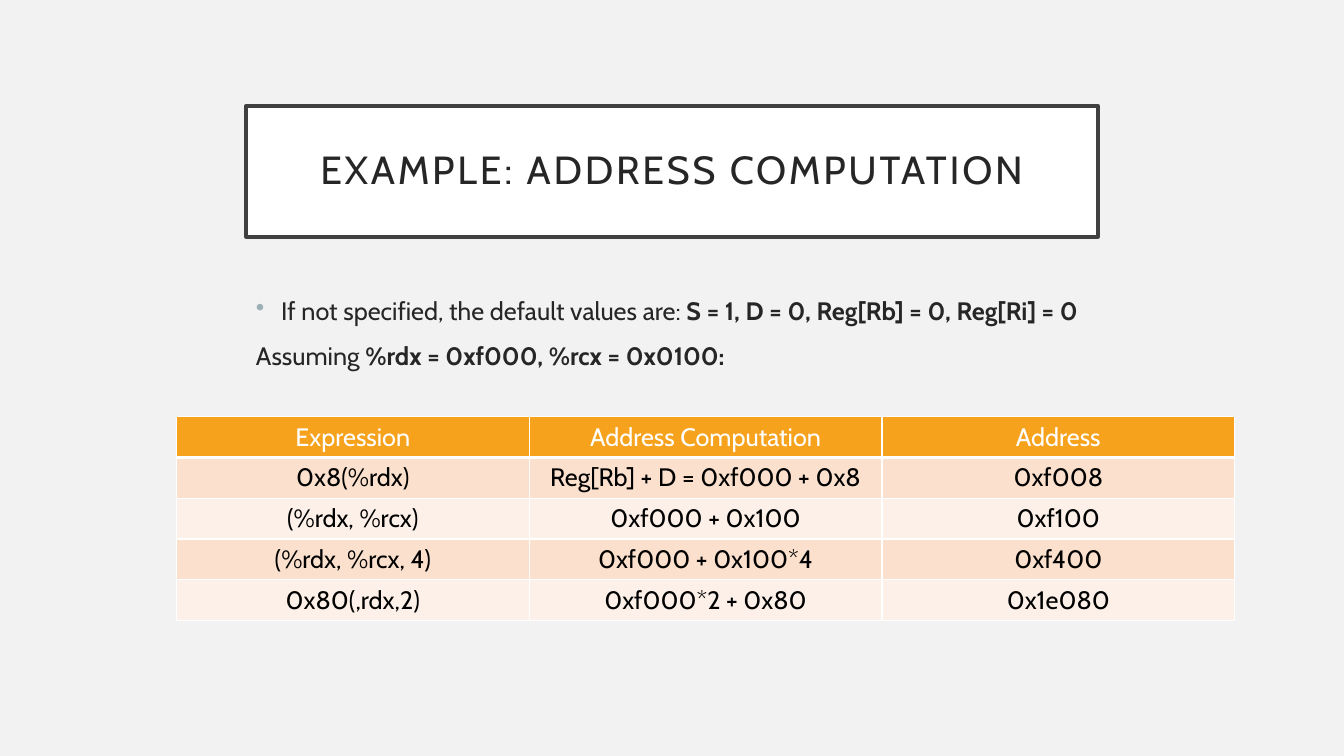
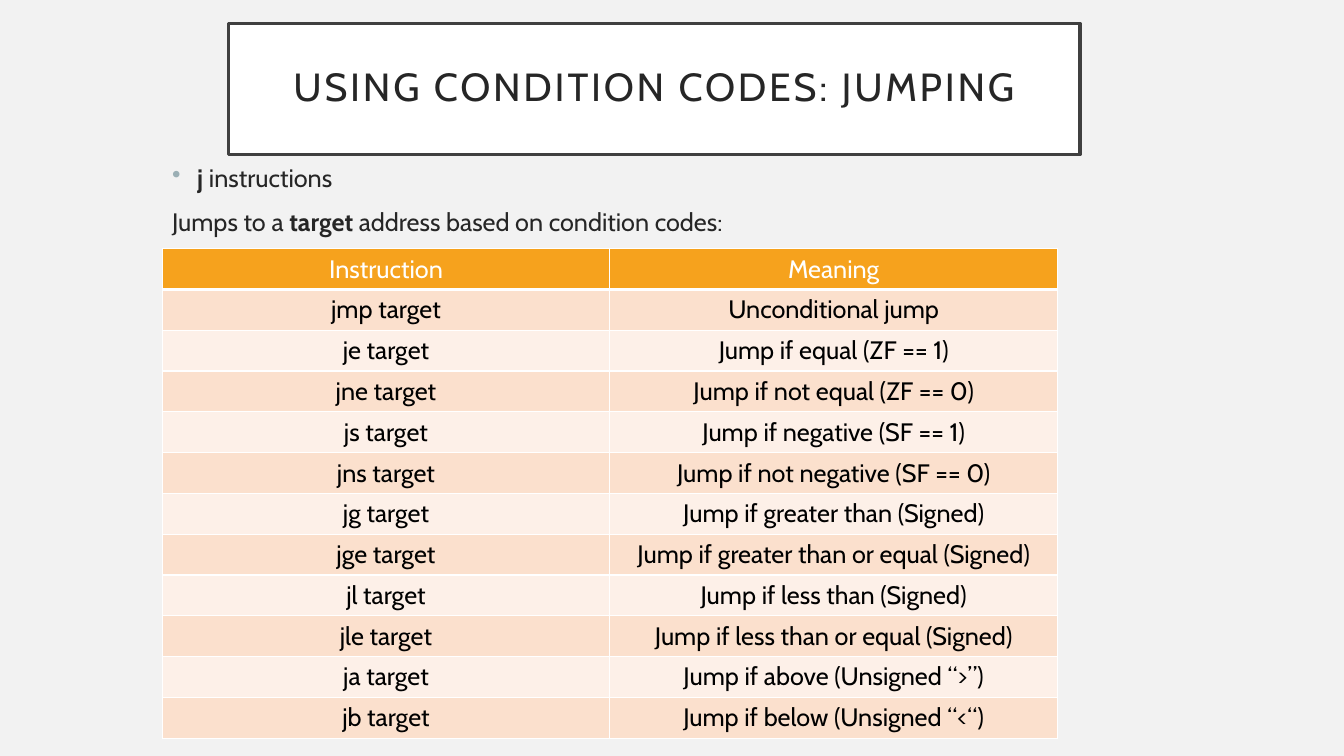
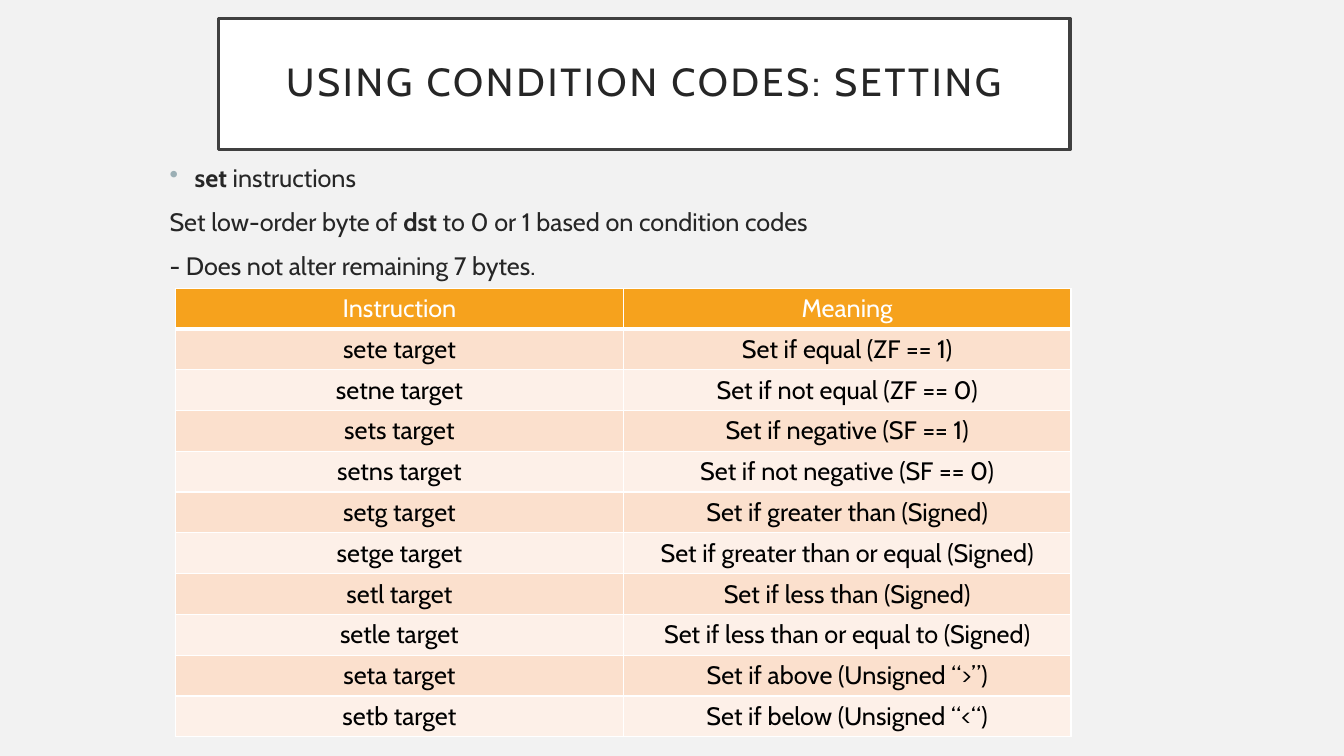
from lxml import etree
from pptx import Presentation
from pptx.dml.color import RGBColor
from pptx.enum.shapes import MSO_SHAPE
from pptx.enum.text import MSO_ANCHOR, PP_ALIGN
from pptx.oxml.ns import qn
from pptx.util import Inches, Pt

RECTANGLE = MSO_SHAPE.RECTANGLE
MIDDLE = MSO_ANCHOR.MIDDLE
CENTER = PP_ALIGN.CENTER

WHITE = RGBColor(0xFF, 0xFF, 0xFF)
BLACK = RGBColor(0x00, 0x00, 0x00)
PAPER = RGBColor(0xF2, 0xF2, 0xF2)
INK = RGBColor(0x26, 0x26, 0x26)
FRAME = RGBColor(0x40, 0x40, 0x40)
BULLET = RGBColor(0x9B, 0xAF, 0xB5)
ORANGE = RGBColor(0xF6, 0xA2, 0x1D)
BANDS = (RGBColor(0xFB, 0xE0, 0xCD), RGBColor(0xFD, 0xF0, 0xE8))

SLIDE_W, SLIDE_H = Inches(13.33), Inches(7.5)
COL, ROW = SLIDE_W / 80, SLIDE_H / 45  # grid of 80 columns by 45 rows
TITLE_SIZE = (50.7, 7.8)
TABLE_ROW = 2.43

TITLE_FONT = {"name": "Cabin", "size": Pt(28), "color": INK}
BODY_FONT = {"name": "Cabin", "size": Pt(18), "color": INK}
HEAD_FONT = {**BODY_FONT, "color": WHITE}
CELL_FONT = {**BODY_FONT, "color": BLACK}

ADDRESS_ROWS = [
    ("Expression", "Address Computation", "Address"),
    ("0x8(%rdx)", "Reg[Rb] + D = 0xf000 + 0x8", "0xf008"),
    ("(%rdx, %rcx)", "0xf000 + 0x100", "0xf100"),
    ("(%rdx, %rcx, 4)", "0xf000 + 0x100*4", "0xf400"),
    ("0x80(,rdx,2)", "0xf000*2 + 0x80", "0x1e080"),
]
INSTRUCTION_HEAD = ("Instruction", "Meaning")
CONDITIONS = {
    "e": "equal (ZF == 1)",
    "ne": "not equal (ZF == 0)",
    "s": "negative (SF == 1)",
    "ns": "not negative (SF == 0)",
    "g": "greater than (Signed)",
    "ge": "greater than or equal (Signed)",
    "l": "less than (Signed)",
    "le": "less than or equal (Signed)",
    "a": "above (Unsigned “>”)",
    "b": "below (Unsigned “<“)",
}
SET_CONDITIONS = {**CONDITIONS, "le": "less than or equal to (Signed)"}


def grid(x, y, w, h):
    """Turn grid columns and rows into slide lengths."""
    return round(x * COL), round(y * ROW), round(w * COL), round(h * ROW)


def add_run(p, text, font, bold=False):
    r = p.add_run()
    r.text = text
    r.font.bold = bold
    for name, value in font.items():
        if name == "color":
            r.font.color.rgb = value
        else:
            setattr(r.font, name, value)
    return r


def add_bullet(p):
    pPr = p._p.get_or_add_pPr()
    pPr.set("marL", str(Inches(0.25)))
    pPr.set("indent", str(Inches(-0.25)))
    color = etree.SubElement(pPr, qn("a:buClr"))
    etree.SubElement(color, qn("a:srgbClr"), val=str(BULLET))
    etree.SubElement(pPr, qn("a:buChar"), char="•")


def add_title(s, text, x, y):
    sp = s.shapes.add_shape(RECTANGLE, *grid(x, y, *TITLE_SIZE))
    sp.shadow.inherit = False
    sp.fill.solid()
    sp.fill.fore_color.rgb = WHITE
    sp.line.color.rgb = FRAME
    sp.line.width = Pt(2.5)
    tf = sp.text_frame
    tf.word_wrap = True
    tf.vertical_anchor = MIDDLE
    for side in ("left", "top", "right", "bottom"):
        setattr(tf, f"margin_{side}", Inches(0.2))
    p = tf.paragraphs[0]
    p.alignment = CENTER
    p.line_spacing = 0.9
    r = add_run(p, text, TITLE_FONT)
    r.font._element.set("spc", "200")


def add_body(s, lines, box):
    """Write lines, the first bulleted; ** marks the ends of bold text."""
    tf = s.shapes.add_textbox(*grid(*box)).text_frame
    tf.word_wrap = True
    for i, line in enumerate(lines):
        p = tf.add_paragraph() if i else tf.paragraphs[0]
        if i:
            p.space_before = Pt(10)
        else:
            add_bullet(p)
        for k, part in enumerate(line.split("**")):
            if part:
                add_run(p, part, BODY_FONT, bold=k % 2 == 1)


def set_borders(cell, bottom):
    tcPr = cell._tc.get_or_add_tcPr()
    for side, width in (("L", 1), ("R", 1), ("T", 1), ("B", bottom)):
        ln = etree.SubElement(tcPr, qn(f"a:ln{side}"), w=str(Pt(width)))
        fill = etree.SubElement(ln, qn("a:solidFill"))
        etree.SubElement(fill, qn("a:srgbClr"), val=str(WHITE))


def add_banded_table(s, rows, x, y, w):
    box = grid(x, y, w, TABLE_ROW * len(rows))
    table = s.shapes.add_table(len(rows), len(rows[0]), *box).table
    for i, row in enumerate(rows):
        for j, text in enumerate(row):
            cell = table.cell(i, j)
            set_borders(cell, bottom=1 if i else 3)
            cell.fill.solid()
            cell.fill.fore_color.rgb = BANDS[(i - 1) % 2] if i else ORANGE
            p = cell.text_frame.paragraphs[0]
            p.alignment = CENTER
            add_run(p, text, CELL_FONT if i else HEAD_FONT)


def condition_rows(mnemonic, verb, conditions):
    return [(f"{mnemonic}{suffix} target", f"{verb} if {meaning}")
            for suffix, meaning in conditions.items()]


def add_table_slide(prs, title, title_at, lines, body_box, rows, table_at):
    s = prs.slides.add_slide(prs.slide_layouts[6])
    s.background.fill.solid()
    s.background.fill.fore_color.rgb = PAPER
    add_title(s, title, *title_at)
    add_body(s, lines, body_box)
    add_banded_table(s, rows, *table_at)


def main():
    prs = Presentation()
    prs.slide_width, prs.slide_height = SLIDE_W, SLIDE_H
    add_table_slide(
        prs, "EXAMPLE: ADDRESS COMPUTATION", (14.65, 6.3),
        ["If not specified, the default values are: "
         "**S = 1, D = 0, Reg[Rb] = 0, Reg[Ri] = 0**",
         "Assuming **%rdx = 0xf000, %rcx = 0x0100:**"],
        (14.65, 17.3, 52.2, 20.35),
        ADDRESS_ROWS, (10.5, 24.8, 63))
    add_table_slide(
        prs, "USING CONDITION CODES: JUMPING", (13.6, 1.4),
        ["**j** instructions",
         "Jumps to a **target **address based on condition codes:"],
        (9.65, 9.35, 63, 23.5),
        [INSTRUCTION_HEAD, ("jmp target", "Unconditional jump"),
         *condition_rows("j", "Jump", CONDITIONS)],
        (9.65, 14.8, 53.3))
    add_table_slide(
        prs, "USING CONDITION CODES: SETTING", (13, 1.1),
        ["**set** instructions",
         "Set low-order byte of **dst **to 0 or 1 based on condition codes",
         "- Does not alter remaining 7 bytes."],
        (9.5, 9.35, 63, 23.5),
        [INSTRUCTION_HEAD, *condition_rows("set", "Set", SET_CONDITIONS)],
        (10.45, 17.15, 53.3))
    prs.save("out.pptx")


if __name__ == "__main__":
    main()
